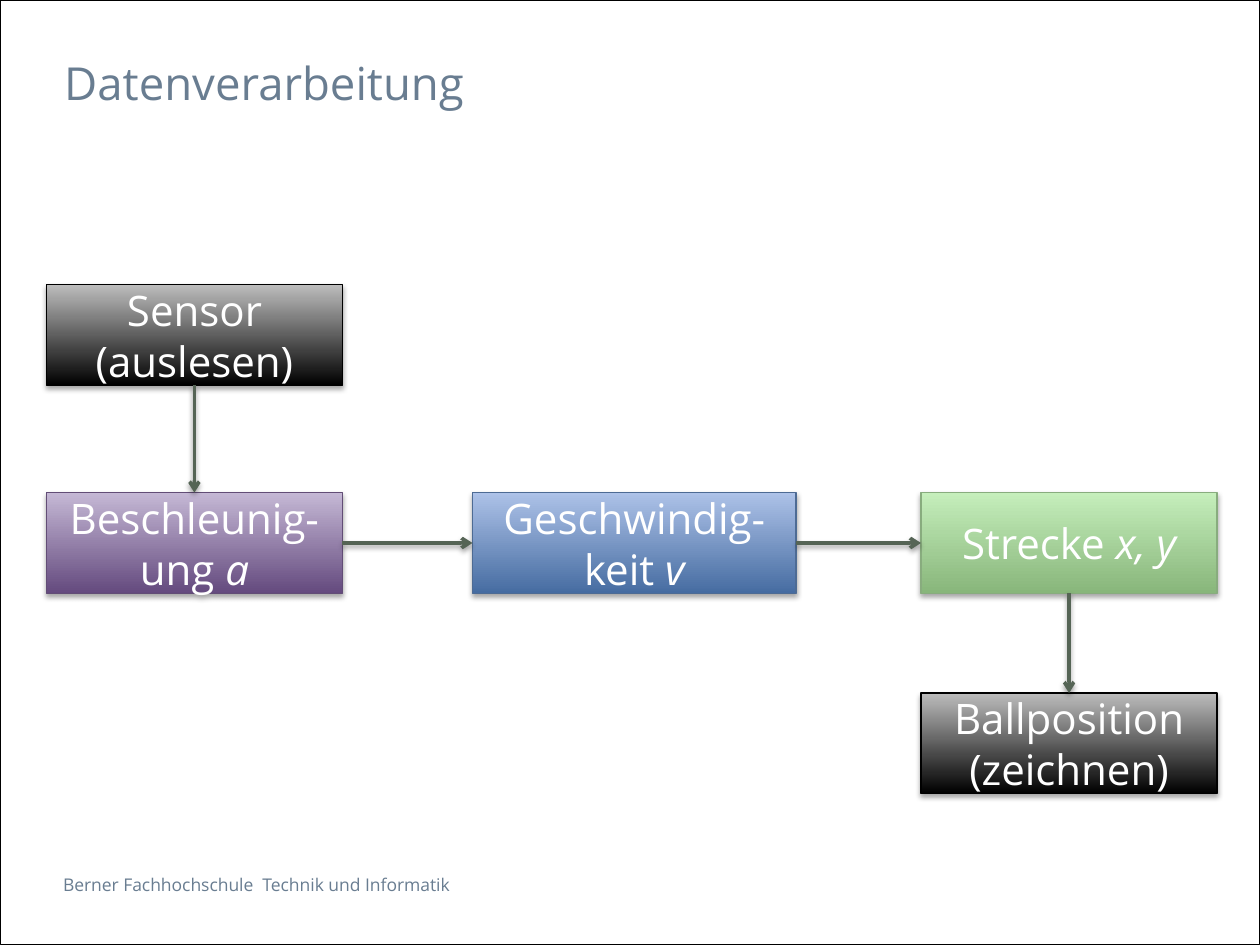
from typing import NamedTuple

from lxml.etree import SubElement
from pptx import Presentation
from pptx.dml.color import RGBColor as Rgb
from pptx.enum.shapes import MSO_CONNECTOR as Link, MSO_SHAPE as Kind
from pptx.enum.text import MSO_ANCHOR as Anchor, PP_ALIGN as Align
from pptx.oxml.ns import qn
from pptx.util import Pt

FONT = "Open Sans"
COLORS = {
    "slate": "697D91",
    "arrow": "556455",
    "black": "000000",
    "gray": "BDBDBD",
    "white": "FFFFFF",
    "plum": "644A7E",
    "lilac": "C5B8D5",
    "plum edge": "624D76",
    "blue": "466CA1",
    "sky": "ADC2E8",
    "blue edge": "4D6B94",
    "green": "88B67B",
    "mint": "C5EEBB",
    "green edge": "88AC7E",
}
WIDE, HIGH = 720, 540
BOX_W, BOX_H = 169.2, 57.6
LEFT, MID, RIGHT = 26.5, 270, 526.3
TOP_Y, MID_Y, LOW_Y = 162.7, 281.5, 396
TOP, WEST, BOTTOM, EAST = range(4)


class Step(NamedTuple):
    text: str
    symbol: str
    x: float
    y: float
    dark: str
    light: str
    edge: str
    width: float = BOX_W


class Arrow(NamedTuple):
    start: str
    out: int
    end: str
    into: int


STEPS = {
    "sensor": Step("Sensor (auslesen)", "", LEFT, TOP_Y, "black", "gray", "black"),
    "accel": Step("Beschleunig-ung ", "a", LEFT, MID_Y, "plum", "lilac", "plum edge"),
    "speed": Step("Geschwindig-keit ", "v", MID, MID_Y, "blue", "sky", "blue edge", 185),
    "track": Step("Strecke ", "x, y", RIGHT, MID_Y, "green", "mint", "green edge"),
    "ball": Step("Ballposition (zeichnen)", "", RIGHT, LOW_Y, "black", "gray", "black"),
}
ARROWS = [
    Arrow("sensor", BOTTOM, "accel", TOP),
    Arrow("accel", EAST, "speed", WEST),
    Arrow("speed", EAST, "track", WEST),
    Arrow("track", BOTTOM, "ball", TOP),
]


def color(name: str) -> Rgb:
    return Rgb.from_string(COLORS[name])


def style(run, size: float, ink: str) -> None:
    run.font.name = FONT
    run.font.size = Pt(size)
    run.font.color.rgb = color(ink)


def set_line(item, ink: str, width: float) -> None:
    item.line.color.rgb = color(ink)
    item.line.width = Pt(width)


def add_shadow(props, dist: float, alpha: int) -> None:
    """Append a soft downward shadow; alpha is in percent."""
    effects = props.find(qn("a:effectLst"))
    if effects is None:
        effects = SubElement(props, qn("a:effectLst"))
    outer = SubElement(effects, qn("a:outerShdw"), blurRad=str(Pt(3.1)),
                       dist=str(Pt(dist)), dir="5400000", rotWithShape="0")
    ink = SubElement(outer, qn("a:srgbClr"), val=COLORS["black"])
    SubElement(ink, qn("a:alpha"), val=str(alpha * 1000))


def add_label(slide, text: str, x: float, y: float, w: float, h: float, size: float) -> None:
    box = slide.shapes.add_textbox(Pt(x), Pt(y), Pt(w), Pt(h))
    frame = box.text_frame
    frame.word_wrap = True
    frame.margin_left = frame.margin_right = 0
    frame.text = text
    style(frame.paragraphs[0].runs[0], size, "slate")


def add_border(slide) -> None:
    border = slide.shapes.add_shape(Kind.RECTANGLE, 0, 0, Pt(WIDE), Pt(HIGH))
    border.shadow.inherit = False
    border.fill.background()
    set_line(border, "black", 0.5)


def add_step(slide, step: Step):
    box = slide.shapes.add_shape(Kind.RECTANGLE, Pt(step.x), Pt(step.y),
                                 Pt(step.width), Pt(BOX_H))
    box.fill.gradient()
    box.fill.gradient_angle = 90
    for stop, name in zip(box.fill.gradient_stops, (step.dark, step.light)):
        stop.color.rgb = color(name)
    set_line(box, step.edge, 0.75)
    box.shadow.inherit = False
    add_shadow(box._element.spPr, 1.8, 35)

    frame = box.text_frame
    frame.word_wrap = True
    frame.vertical_anchor = Anchor.MIDDLE
    frame.text = step.text
    para = frame.paragraphs[0]
    para.alignment = Align.CENTER
    if step.symbol:
        run = para.add_run()
        run.text = step.symbol
        run.font.italic = True
    for run in para.runs:
        style(run, 24, "white")
    return box


def add_arrow(slide, arrow: Arrow, boxes: dict) -> None:
    line = slide.shapes.add_connector(Link.STRAIGHT, 0, 0, 0, 0)
    line.begin_connect(boxes[arrow.start], arrow.out)
    line.end_connect(boxes[arrow.end], arrow.into)
    set_line(line, "arrow", 2)
    SubElement(line.line._get_or_add_ln(), qn("a:tailEnd"), type="arrow")
    add_shadow(line._element.spPr, 1.6, 38)


def main() -> None:
    deck = Presentation()
    deck.slide_width, deck.slide_height = Pt(WIDE), Pt(HIGH)
    slide = deck.slides.add_slide(deck.slide_layouts[6])
    add_label(slide, "Berner Fachhochschule  Technik und Informatik",
              36, 496, 526.3, 19.4, 10)
    add_border(slide)
    add_label(slide, "Datenverarbeitung", 36.7, 28, 638, 42.5, 26)
    boxes = {name: add_step(slide, step) for name, step in STEPS.items()}
    for arrow in ARROWS:
        add_arrow(slide, arrow, boxes)
    deck.save("out.pptx")


if __name__ == "__main__":
    main()
